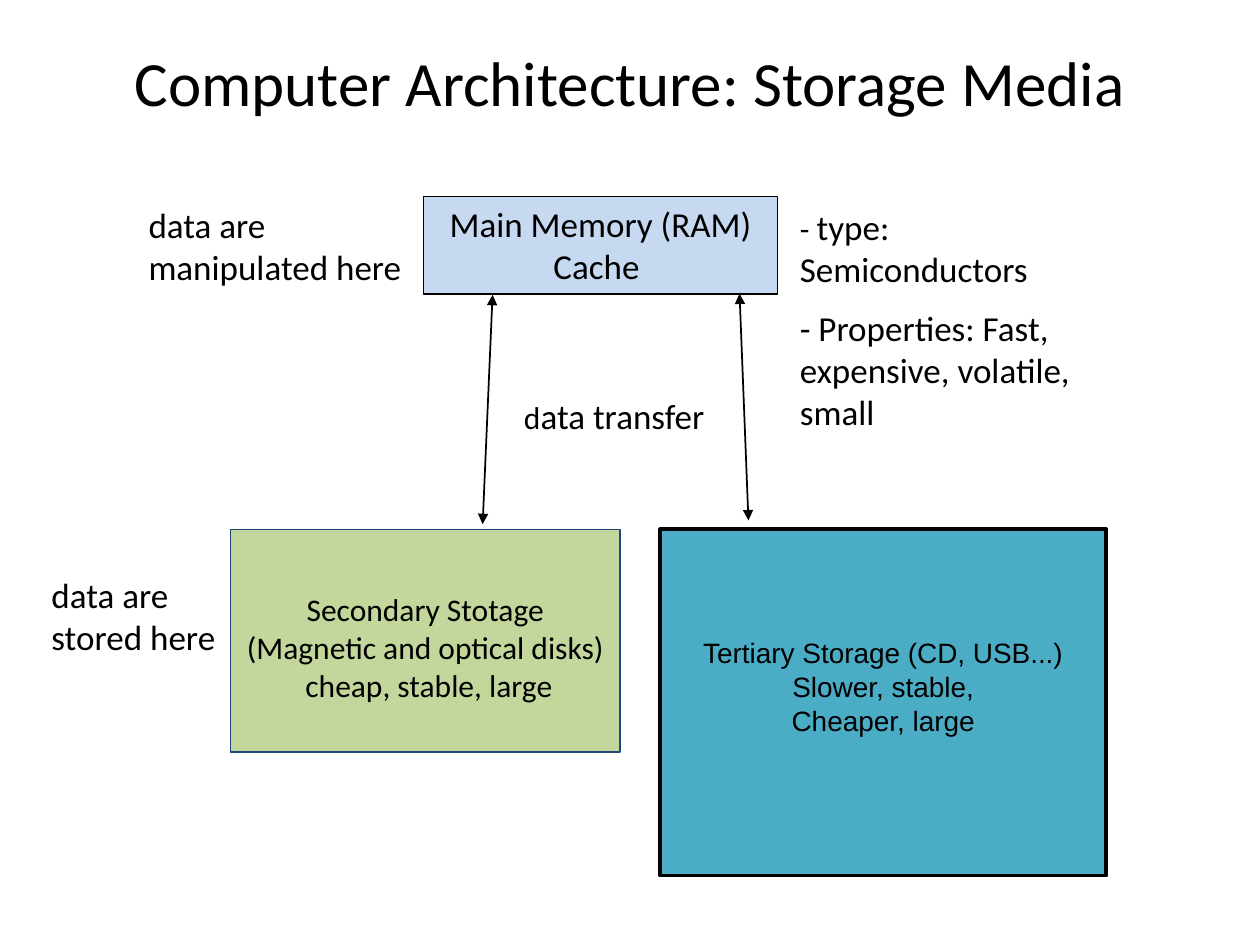
from lxml.etree import SubElement
from pptx import Presentation
from pptx.dml.color import RGBColor
from pptx.enum.shapes import MSO_CONNECTOR, MSO_SHAPE
from pptx.enum.text import MSO_ANCHOR, PP_ALIGN
from pptx.oxml.ns import qn
from pptx.util import Pt

COLORS = {
    "ink": "000000",
    "memory": "C6D9F1",
    "secondary": "C3D69B",
    "secondary_edge": "1F497D",
    "tertiary": "4BACC6",
}


def color(name):
    return RGBColor.from_string(COLORS[name])


def write(shape, text, size, font="Calibri", align=PP_ALIGN.LEFT, anchor=MSO_ANCHOR.TOP):
    frame = shape.text_frame
    frame.word_wrap = True
    frame.vertical_anchor = anchor
    frame.text = text
    for paragraph in frame.paragraphs:
        paragraph.alignment = align
        paragraph.font.size = Pt(size)
        paragraph.font.name = font
        paragraph.font.color.rgb = color("ink")
    return frame


prs = Presentation()
prs.slide_width, prs.slide_height = Pt(720), Pt(540)
slide = prs.slides.add_slide(prs.slide_layouts[6])
shapes = slide.shapes

title = shapes.add_textbox(Pt(54), Pt(21), Pt(612), Pt(51))
write(title, "Computer Architecture: Storage Media", 36,
      align=PP_ALIGN.CENTER, anchor=MSO_ANCHOR.MIDDLE)

storage_levels = [
    ("Main Memory (RAM)\vCache ", (242, 112.4, 202.4, 55.6), "memory", "ink", 0.75,
     20, "Calibri", MSO_ANCHOR.TOP, 3.6, 3.6),
    ("Tertiary Storage (CD, USB...)\nSlower, stable,\nCheaper, large", (377.3, 302.4, 254.9, 198),
     "tertiary", "ink", 2, 16, "Arial", MSO_ANCHOR.MIDDLE, 3.6, 22),
    ("Secondary Stotage\v(Magnetic and optical disks)\v cheap, stable, large",
     (131.8, 302.4, 222.5, 127.4), "secondary", "secondary_edge", 0.75,
     18, "Calibri", MSO_ANCHOR.TOP, 35, 3.6),
]
for text, box, fill, edge, width, size, font, anchor, top, bottom in storage_levels:
    level = shapes.add_shape(MSO_SHAPE.RECTANGLE, *map(Pt, box))
    level.shadow.inherit = False
    level.fill.solid()
    level.fill.fore_color.rgb = color(fill)
    level.line.color.rgb = color(edge)
    level.line.width = Pt(width)
    frame = write(level, text, size, font, PP_ALIGN.CENTER, anchor)
    frame.margin_top, frame.margin_bottom = Pt(top), Pt(bottom)

notes = [
    ("data are manipulated here", (77.8, 113, 180, 55.6)),
    ("data are \vstored here", (22.3, 324, 123.8, 55.6)),
    ("data transfer", (292.3, 221.8, 193.7, 31.7)),
    ("- type: Semiconductors\n- Properties: Fast, expensive, volatile, small",
     (450, 113.8, 192.2, 140.4)),
]
small_starts = {"data transfer": "d", "- type: Semiconductors": "- "}
for text, box in notes:
    note = shapes.add_textbox(*map(Pt, box))
    frame = write(note, text, 20)
    for paragraph in frame.paragraphs[1:]:
        paragraph.space_before = Pt(10)
    first = frame.paragraphs[0]
    start = small_starts.get(first.text)
    if start:
        rest = first.text[len(start):]
        first.runs[0].text = start
        first.runs[0].font.size = Pt(18)
        first.add_run().text = rest

transfers = [(281.5, 168.5, 275.8, 299.5), (422.6, 167.8, 427.7, 297.4)]
for ends in transfers:
    transfer = shapes.add_connector(MSO_CONNECTOR.STRAIGHT, *map(Pt, ends))
    transfer.line.color.rgb = color("ink")
    transfer.line.width = Pt(1)
    outline = transfer.line._get_or_add_ln()
    for end in ("a:headEnd", "a:tailEnd"):
        SubElement(outline, qn(end), type="triangle")
    SubElement(transfer._element.spPr, qn("a:effectLst"))

prs.save("out.pptx")
